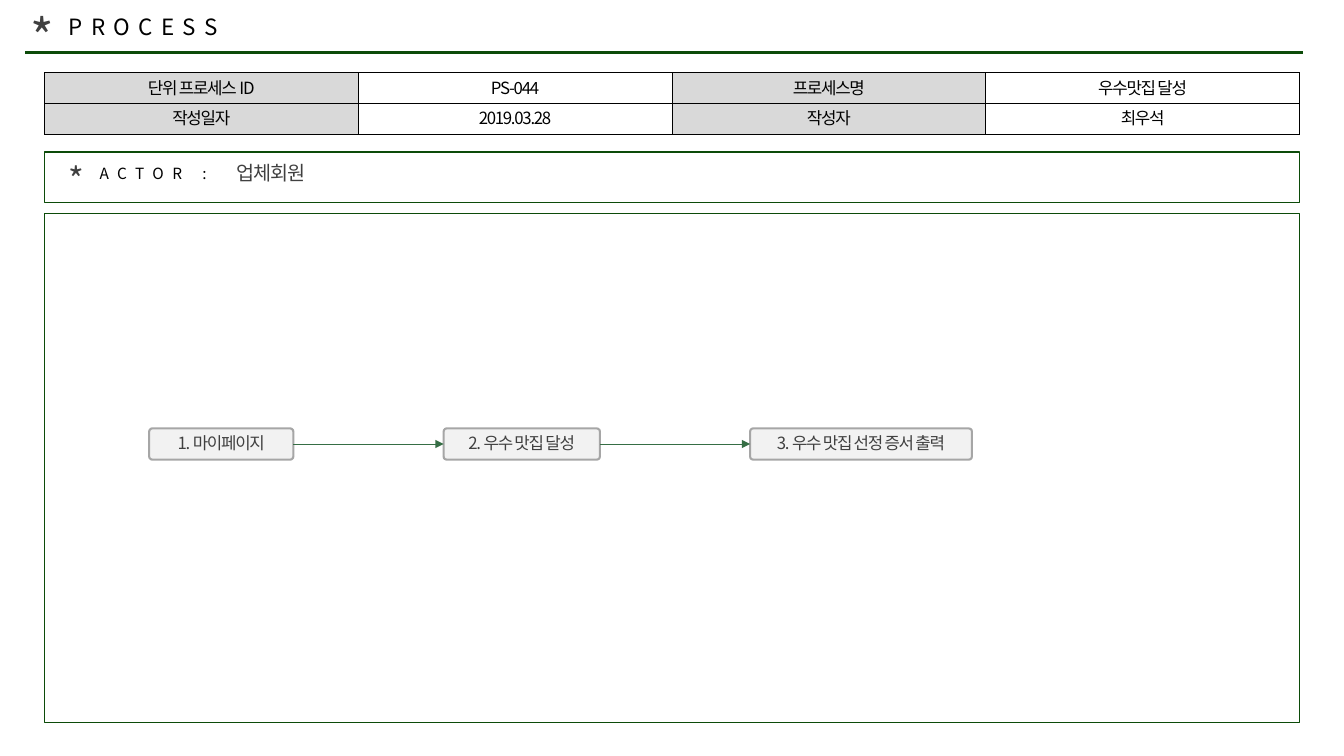
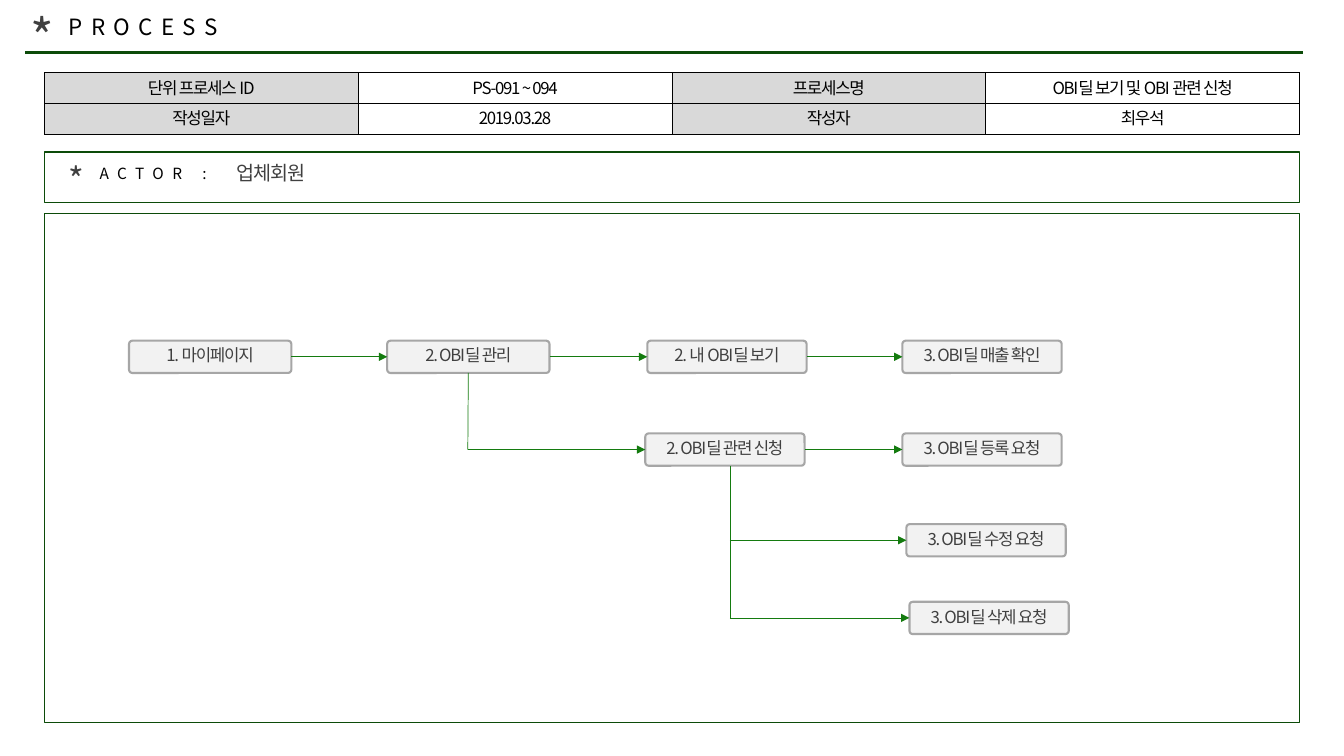
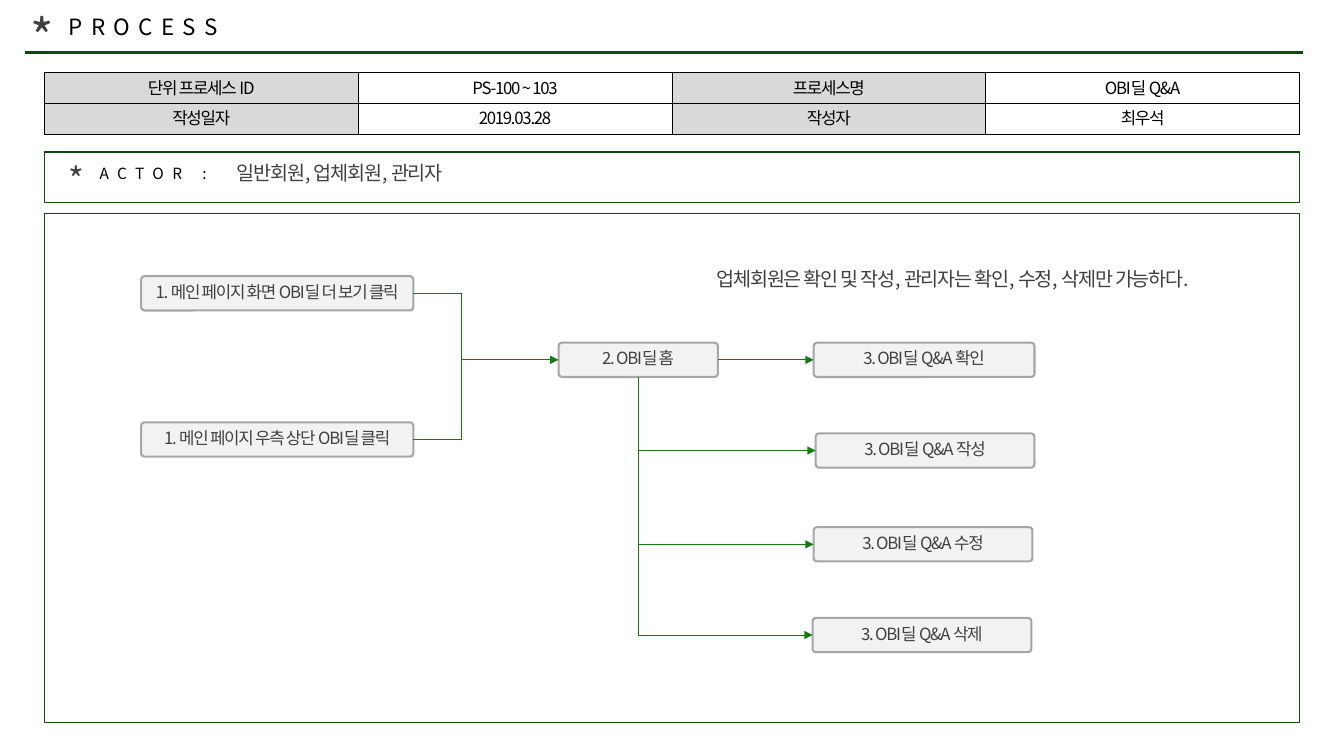
from dataclasses import dataclass
from typing import Union

from lxml.etree import SubElement
from pptx import Presentation
from pptx.dml.color import RGBColor
from pptx.enum.shapes import MSO_CONNECTOR, MSO_SHAPE
from pptx.enum.text import MSO_ANCHOR, MSO_AUTO_SIZE, PP_ALIGN
from pptx.oxml.ns import qn
from pptx.util import Emu, Pt

# Shared look
PX = 9144  # 100 px to the inch
FONT = "Noto Sans CJK KR"
LINE_SPACING = 0.85
GREEN, ARROW_GREEN, PALE_GREEN = "0C4B09", "147B0F", "366E45"
BLACK, INK, GREY, LABEL_FILL, BOX_FILL = "000000", "404040", "A6A6A6", "D9D9D9", "F2F2F2"
TIGHT, WIDE = -0.9, 6
TOP, LEFT, BOTTOM, RIGHT = range(4)
FRAME_LEFT, FRAME_WIDTH = 44, 1245


@dataclass(frozen=True)
class Style:
    size: int
    color: str = INK
    spacing: float = TIGHT


BIG_STAR, SMALL_STAR = Style(36), Style(24)
TITLE, ACTOR = Style(16, BLACK, WIDE), Style(11, BLACK, WIDE)
CELL, BODY, STEP = Style(12, BLACK), Style(14), Style(12)


@dataclass(frozen=True)
class Box:
    text: str
    x: int
    y: int
    width: int


@dataclass(frozen=True)
class Site:
    box: str
    side: int


@dataclass(frozen=True)
class Point:
    x: int
    y: int


End = Union[Site, Point]


@dataclass(frozen=True)
class Arrow:
    source: str
    target: str


@dataclass(frozen=True)
class Branch:
    source: str
    targets: tuple[str, ...]
    shift: int = 0  # trunk offset from the middle of the source


@dataclass(frozen=True)
class Merge:
    sources: tuple[str, ...]
    target: str
    x: int


@dataclass(frozen=True)
class Note:
    text: str
    x: int
    y: int
    width: int


@dataclass(frozen=True)
class Process:
    code: str
    name: str
    actors: str
    box_height: int
    boxes: dict[str, Box]
    links: tuple[Union[Arrow, Branch, Merge], ...]
    line_color: str = ARROW_GREEN
    notes: tuple[Note, ...] = ()


PROCESSES = (
    Process(
        "PS-044", "우수맛집 달성", "업체회원", 31,
        {
            "my page": Box("1. 마이페이지", 148, 425, 143),
            "award": Box("2. 우수 맛집 달성", 440, 425, 155),
            "print": Box("3. 우수 맛집 선정 증서 출력", 744, 425, 220),
        },
        (Arrow("my page", "award"), Arrow("award", "print")),
        PALE_GREEN,
    ),
    Process(
        "PS-091 ~ 094", "OBI딜 보기 및 OBI 관련 신청", "업체회원", 32,
        {
            "my page": Box("1. 마이페이지", 128, 338, 161),
            "manage": Box("2. OBI딜 관리", 384, 338, 161),
            "view": Box("2. 내 OBI딜 보기", 642, 338, 158),
            "sales": Box("3. OBI딜 매출 확인", 895, 338, 158),
            "apply": Box("2. OBI딜 관련 신청", 640, 430, 158),
            "register": Box("3. OBI딜 등록 요청", 895, 430, 158),
            "edit": Box("3. OBI딜 수정 요청", 899, 520, 158),
            "delete": Box("3. OBI딜 삭제 요청", 902, 597, 158),
        },
        (
            Arrow("my page", "manage"), Arrow("manage", "view"), Arrow("view", "sales"),
            Branch("manage", ("apply",)),
            Arrow("apply", "register"),
            Branch("apply", ("edit", "delete"), shift=5),
        ),
    ),
    Process(
        "PS-100 ~ 103", "OBI딜 Q&A", "일반회원, 업체회원, 관리자", 34,
        {
            "more": Box("1. 메인 페이지 화면 OBI딜 더 보기 클릭", 140, 274, 270),
            "corner": Box("1. 메인 페이지 우측 상단 OBI딜 클릭", 140, 419, 270),
            "home": Box("2. OBI딜 홈", 554, 340, 158),
            "check": Box("3. OBI딜 Q&A 확인", 807, 340, 219),
            "write": Box("3. OBI딜 Q&A 작성", 809, 430, 217),
            "edit": Box("3. OBI딜 Q&A 수정", 807, 523, 217),
            "delete": Box("3. OBI딜 Q&A 삭제", 806, 613, 217),
        },
        (
            Merge(("more", "corner"), "home", 458),
            Arrow("home", "check"),
            Branch("home", ("write", "edit", "delete")),
        ),
        notes=(Note("업체회원은 확인 및 작성, 관리자는 확인, 수정, 삭제만 가능하다.", 701, 263, 532),),
    ),
)


def px(*lengths: int) -> list[Emu]:
    return [Emu(length * PX) for length in lengths]


def rgb(color: str) -> RGBColor:
    return RGBColor.from_string(color)


# Text
def write(frame, text: str, style: Style, align=PP_ALIGN.LEFT) -> None:
    frame.text = text
    for para in frame.paragraphs:
        para.alignment = align
        para.line_spacing = LINE_SPACING
        for span in para.runs:
            span.font.size = Pt(style.size)
            span.font.color.rgb = rgb(style.color)
            span.font.name = FONT
            properties = span.font._element
            properties.set("spc", str(round(style.spacing * 100)))
            SubElement(properties, qn("a:ea"), typeface=FONT)


def write_label(shape, text: str, style: Style) -> None:
    frame = shape.text_frame
    frame.word_wrap = True
    frame.auto_size = MSO_AUTO_SIZE.SHAPE_TO_FIT_TEXT
    frame.vertical_anchor = MSO_ANCHOR.TOP
    write(frame, text, style)


def add_label(page, text: str, style: Style, *place: int) -> None:
    write_label(page.shapes.add_textbox(*px(*place)), text, style)


# Shapes and lines
def add_frame(page, top: int, height: int) -> None:
    frame = page.shapes.add_shape(
        MSO_SHAPE.RECTANGLE, *px(FRAME_LEFT, top, FRAME_WIDTH, height))
    frame.shadow.inherit = False
    frame.fill.background()
    frame.line.color.rgb = rgb(GREEN)
    frame.line.width = Pt(1)


def add_step(page, box: Box, height: int):
    step = page.shapes.add_shape(
        MSO_SHAPE.ROUNDED_RECTANGLE, *px(box.x, box.y, box.width, height))
    step.adjustments[0] = 0.1
    step.shadow.inherit = False
    step.fill.solid()
    step.fill.fore_color.rgb = rgb(BOX_FILL)
    step.line.color.rgb = rgb(GREY)
    step.line.width = Pt(1.5)
    frame = step.text_frame
    frame.word_wrap = True
    frame.vertical_anchor = MSO_ANCHOR.MIDDLE
    frame.margin_left, frame.margin_top, frame.margin_right, frame.margin_bottom = px(4, 4, 4, 4)
    write(frame, box.text, STEP, PP_ALIGN.CENTER)
    return step


def add_line(page, start: Point, end: Point, color: str, width: float, arrow: bool = False):
    line = page.shapes.add_connector(
        MSO_CONNECTOR.STRAIGHT, *px(start.x, start.y, end.x, end.y))
    line.line.color.rgb = rgb(color)
    line.line.width = Pt(width)
    if arrow:
        SubElement(line.line._get_or_add_ln(), qn("a:tailEnd"), type="triangle")
    SubElement(line.element.spPr, qn("a:effectLst"))
    return line


# Process table
def add_table(page, process: Process) -> None:
    rows = (
        ("단위 프로세스 ID", process.code, "프로세스명", process.name),
        ("작성일자", "2019.03.28", "작성자", "최우석"),
    )
    table = page.shapes.add_table(2, 4, *px(FRAME_LEFT, 72, FRAME_WIDTH, 61)).table
    table.first_row = table.horz_banding = False
    for row, height in zip(table.rows, px(30, 31)):
        row.height = height
    for row_index, texts in enumerate(rows):
        for column_index, text in enumerate(texts):
            cell = table.cell(row_index, column_index)
            cell.vertical_anchor = MSO_ANCHOR.MIDDLE
            write(cell.text_frame, text, CELL, PP_ALIGN.CENTER)
            properties = cell._tc.get_or_add_tcPr()
            for side in ("lnL", "lnR", "lnT", "lnB"):
                border = SubElement(properties, qn(f"a:{side}"), w=str(Pt(0.5)))
                SubElement(SubElement(border, qn("a:solidFill")), qn("a:srgbClr"), val=BLACK)
            if column_index % 2:
                cell.fill.background()
            else:
                cell.fill.solid()
                cell.fill.fore_color.rgb = rgb(LABEL_FILL)


# Flow chart
def draw_flow(page, process: Process) -> None:
    height = process.box_height
    steps = {key: add_step(page, box, height) for key, box in process.boxes.items()}

    def locate(end: End) -> Point:
        if isinstance(end, Point):
            return end
        box = process.boxes[end.box]
        middle_x, middle_y = box.x + box.width // 2, box.y + height // 2
        return {
            TOP: Point(middle_x, box.y),
            LEFT: Point(box.x, middle_y),
            BOTTOM: Point(middle_x, box.y + height),
            RIGHT: Point(box.x + box.width, middle_y),
        }[end.side]

    def join(start: End, end: End, arrow: bool = False) -> None:
        line = add_line(page, locate(start), locate(end), process.line_color, 0.5, arrow)
        if isinstance(start, Site):
            line.begin_connect(steps[start.box], start.side)
        if isinstance(end, Site):
            line.end_connect(steps[end.box], end.side)

    def draw_branch(link: Branch) -> None:
        foot = Site(link.source, BOTTOM)
        middle = locate(foot)
        trunk_x = middle.x + link.shift
        entries = [Site(target, LEFT) for target in link.targets]
        start = Point(trunk_x, middle.y) if link.shift else foot
        join(start, Point(trunk_x, locate(entries[-1]).y))
        for entry in entries:
            join(Point(trunk_x, locate(entry).y), entry, arrow=True)

    def draw_merge(link: Merge) -> None:
        exits = [Site(source, RIGHT) for source in link.sources]
        corners = [Point(link.x, locate(leaving).y) for leaving in exits]
        for leaving, corner in zip(exits, corners):
            join(leaving, corner)
        join(corners[0], corners[-1])
        entry = Site(link.target, LEFT)
        join(Point(link.x, locate(entry).y), entry, arrow=True)

    for link in process.links:
        if isinstance(link, Arrow):
            join(Site(link.source, RIGHT), Site(link.target, LEFT), arrow=True)
        elif isinstance(link, Branch):
            draw_branch(link)
        else:
            draw_merge(link)


def draw_page(page, process: Process) -> None:
    # Heading
    add_label(page, "*", BIG_STAR, 20, 10, 52, 71)
    title = page.shapes.title
    title.left, title.top, title.width, title.height = px(58, 12, 432, 37)
    write_label(title, "PROCESS", TITLE)
    add_table(page, process)
    # Actor band
    add_label(page, "*", SMALL_STAR, 58, 159, 52, 50)
    add_label(page, "ACTOR :", ACTOR, 89, 161, 133, 29)
    add_frame(page, 151, 50)
    add_label(page, process.actors, BODY, 225, 158, 432, 34)
    # Flow area
    add_frame(page, 212, 505)
    draw_flow(page, process)
    for note in process.notes:
        add_label(page, note.text, BODY, note.x, note.y, note.width, 34)


def main() -> None:
    deck = Presentation()
    deck.slide_width, deck.slide_height = px(1333, 750)
    layout = deck.slide_layouts.get_by_name("Title Only")
    pages = [deck.slides.add_slide(layout) for _ in PROCESSES]
    # The rule under the heading belongs to the layout
    rule = add_line(pages[0], Point(25, 52), Point(1292, 52), GREEN, 2.25)
    layout.shapes.element.append(rule.element)
    for page, process in zip(pages, PROCESSES):
        draw_page(page, process)
    deck.save("out.pptx")


if __name__ == "__main__":
    main()
